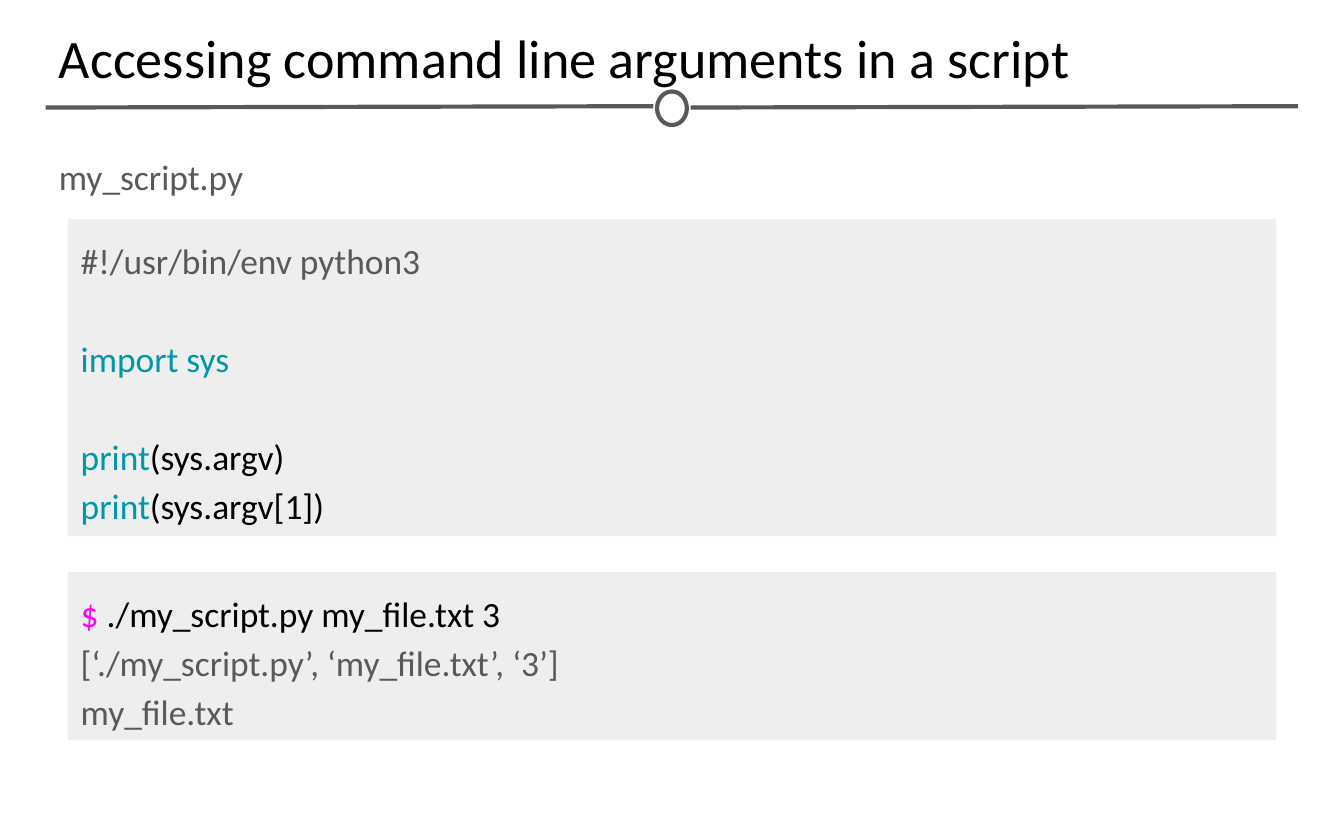
"""Build a slide on reading command line arguments in a Python script."""
from dataclasses import dataclass

from pptx import Presentation
from pptx.dml.color import RGBColor
from pptx.enum.shapes import MSO_CONNECTOR, MSO_SHAPE
from pptx.enum.text import MSO_ANCHOR, PP_ALIGN
from pptx.oxml.ns import qn
from pptx.util import Pt

STRAIGHT = MSO_CONNECTOR.STRAIGHT
RECTANGLE, OVAL = MSO_SHAPE.RECTANGLE, MSO_SHAPE.OVAL
TOP, LEFT = MSO_ANCHOR.TOP, PP_ALIGN.LEFT


@dataclass(frozen=True)
class Theme:
    font: str = "Calibri"
    title_size: float = 29
    body_size: float = 19
    line_spacing: float = 1.15
    line_pitch: float = 26.25
    rule_width: float = 2.25
    inset: float = 7.2
    black: str = "000000"
    gray: str = "595959"
    panel: str = "EEEEEE"
    keyword: str = "0097A7"
    prompt: str = "FF00FF"


THEME = Theme()
WIDTH, HEIGHT = 720, 450
MARGIN, PANEL_LEFT = 24.5, 36.2
RULE_LENGTH, RULE_LEFT_Y, RULE_RIGHT_Y = 325.5, 57.6, 56.9
RING_TOP, RING_WIDTH, RING_HEIGHT = 49, 16, 18

TITLE = [(0, [("Accessing command line arguments in a script", THEME.black)])]
FILE_NAME = [(0, [("my_script.py", THEME.gray)])]
SCRIPT = [
    (0, [("#!/usr/bin/env python3", THEME.gray)]),
    (1, [("import sys", THEME.keyword)]),
    (1, [("print", THEME.keyword), ("(sys.argv)", THEME.black)]),
    (0, [("print", THEME.keyword), ("(sys.argv[1])", THEME.black)]),
]
SESSION = [
    (0, [("$ ", THEME.prompt), ("./my_script.py my_file.txt 3", THEME.black)]),
    (0, [("[‘./my_script.py’, ‘my_file.txt’, ‘3’]", THEME.gray)]),
    (0, [("my_file.txt", THEME.gray)]),
]
TEXTS = [
    (FILE_NAME, 72.7, 309.6, THEME.body_size, THEME.line_spacing),
    (TITLE, 5.8, 50.4, THEME.title_size, 1.0),
]
PANELS = [(SCRIPT, 117.5, 169.8), (SESSION, 306.5, 90)]


def color(value):
    return RGBColor.from_string(value)


def centered_box(left, top, height):
    return Pt(left), Pt(top), Pt(WIDTH - 2 * left), Pt(height)


def write_lines(shape, lines, size, spacing):
    frame = shape.text_frame
    frame.word_wrap = True
    frame.vertical_anchor = TOP
    frame.margin_left = frame.margin_right = Pt(THEME.inset)
    frame.margin_top = frame.margin_bottom = Pt(THEME.inset)
    frame.text = "\n".join("" for _ in lines)
    for paragraph, (gap_lines, pieces) in zip(frame.paragraphs, lines):
        paragraph.alignment = LEFT
        paragraph.line_spacing = spacing
        paragraph.space_before = Pt(gap_lines * THEME.line_pitch)
        for text, text_color in pieces:
            run = paragraph.add_run()
            run.text = text
            run.font.name = THEME.font
            run.font.size = Pt(size)
            run.font.color.rgb = color(text_color)


def draw_divider(slide):
    for left in (MARGIN, WIDTH - MARGIN - RULE_LENGTH):
        rule = slide.shapes.add_connector(
            STRAIGHT, Pt(left), Pt(RULE_LEFT_Y), Pt(left + RULE_LENGTH), Pt(RULE_RIGHT_Y)
        )
        rule.line.color.rgb = color(THEME.gray)
        rule.line.width = Pt(THEME.rule_width)
        properties = rule._element.spPr
        properties.append(properties.makeelement(qn("a:effectLst"), {}))
    ring = slide.shapes.add_shape(
        OVAL, *centered_box((WIDTH - RING_WIDTH) / 2, RING_TOP, RING_HEIGHT)
    )
    ring.shadow.inherit = False
    ring.fill.background()
    ring.line.color.rgb = color(THEME.gray)
    ring.line.width = Pt(THEME.rule_width)


def main():
    presentation = Presentation()
    presentation.slide_width, presentation.slide_height = Pt(WIDTH), Pt(HEIGHT)
    slide = presentation.slides.add_slide(presentation.slide_layouts[6])
    draw_divider(slide)
    for lines, top, height, size, spacing in TEXTS:
        box = slide.shapes.add_textbox(*centered_box(MARGIN, top, height))
        write_lines(box, lines, size, spacing)
    for lines, top, height in PANELS:
        panel = slide.shapes.add_shape(RECTANGLE, *centered_box(PANEL_LEFT, top, height))
        panel.shadow.inherit = False
        panel.fill.solid()
        panel.fill.fore_color.rgb = color(THEME.panel)
        panel.line.fill.background()
        write_lines(panel, lines, THEME.body_size, THEME.line_spacing)
    presentation.save("out.pptx")


if __name__ == "__main__":
    main()
